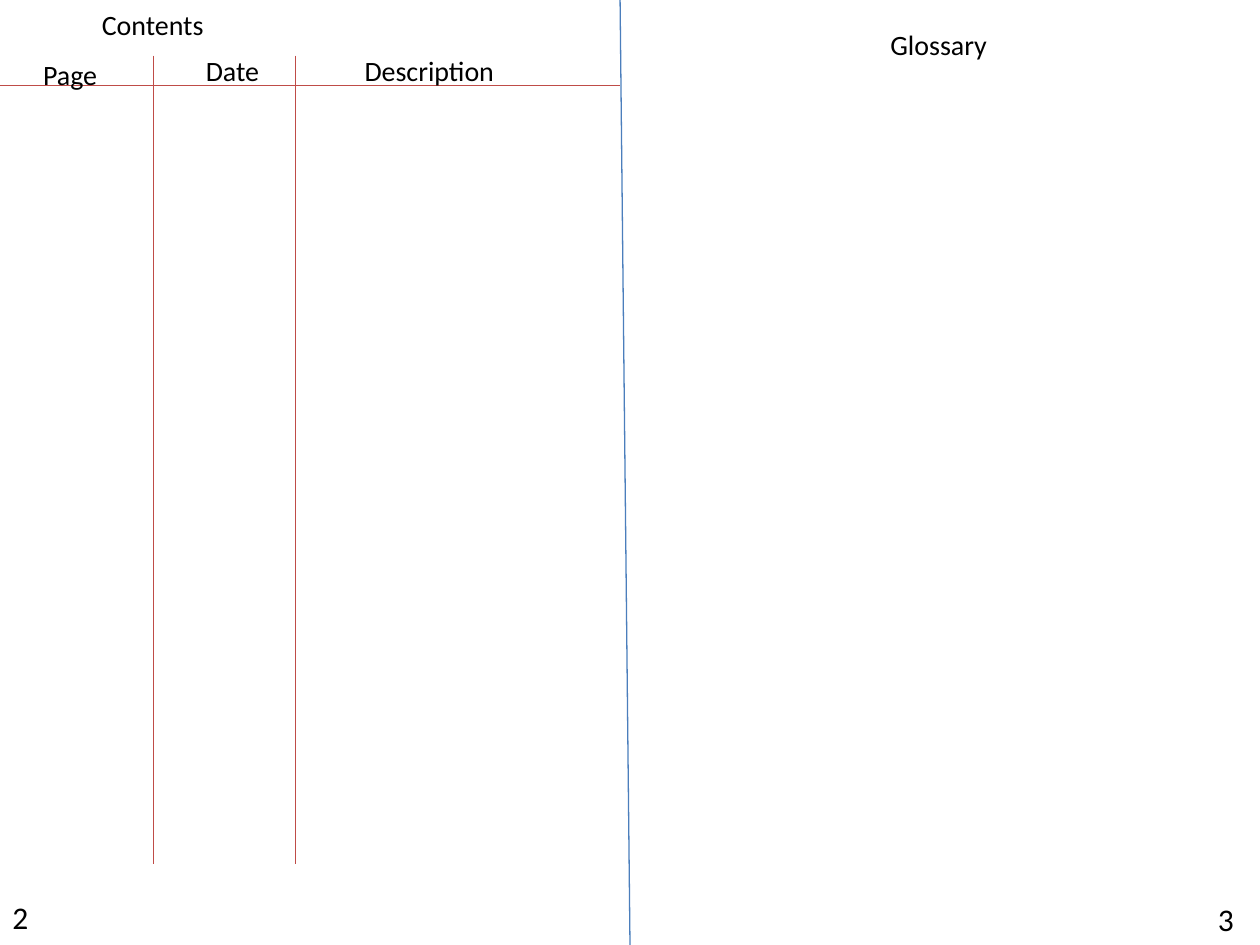
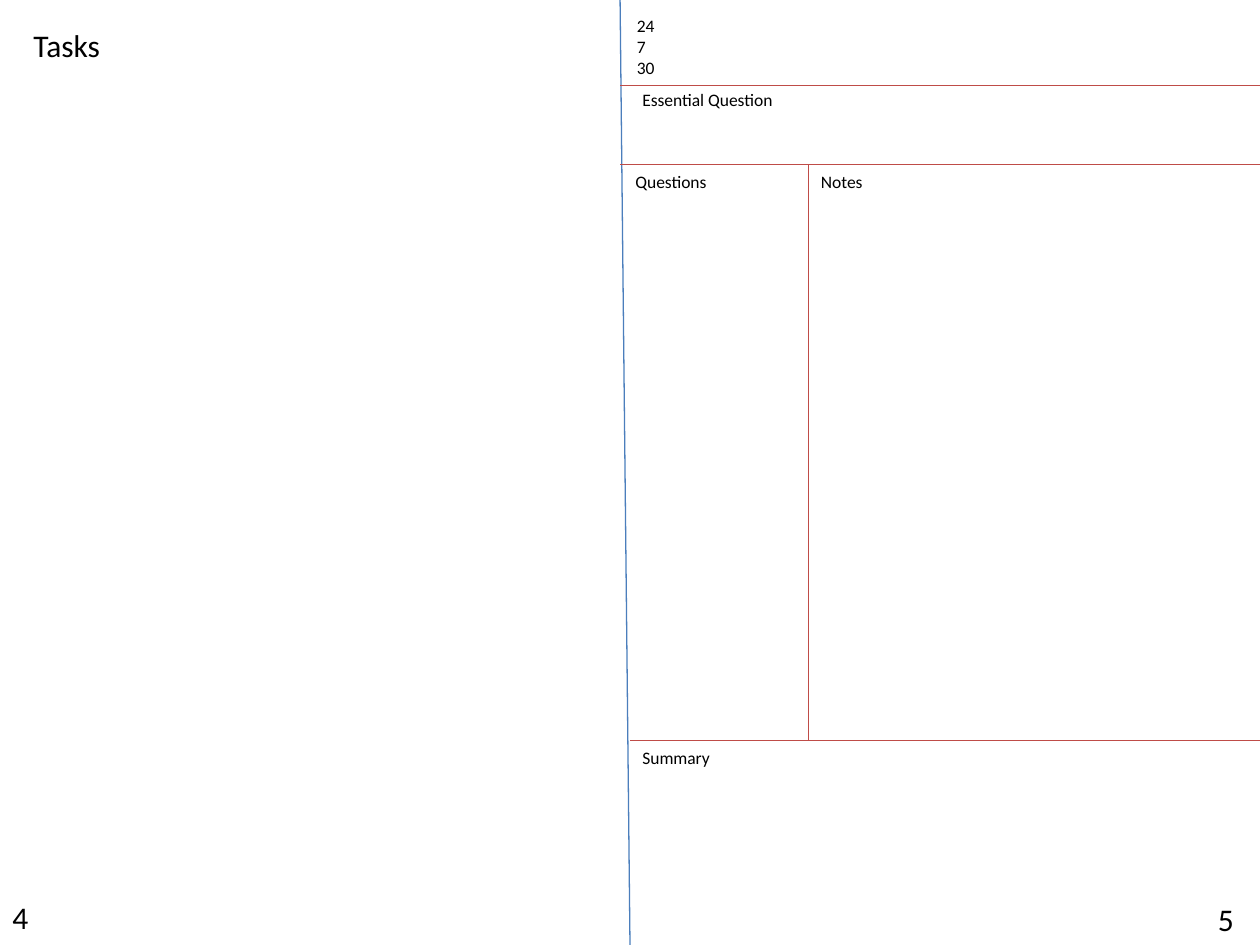
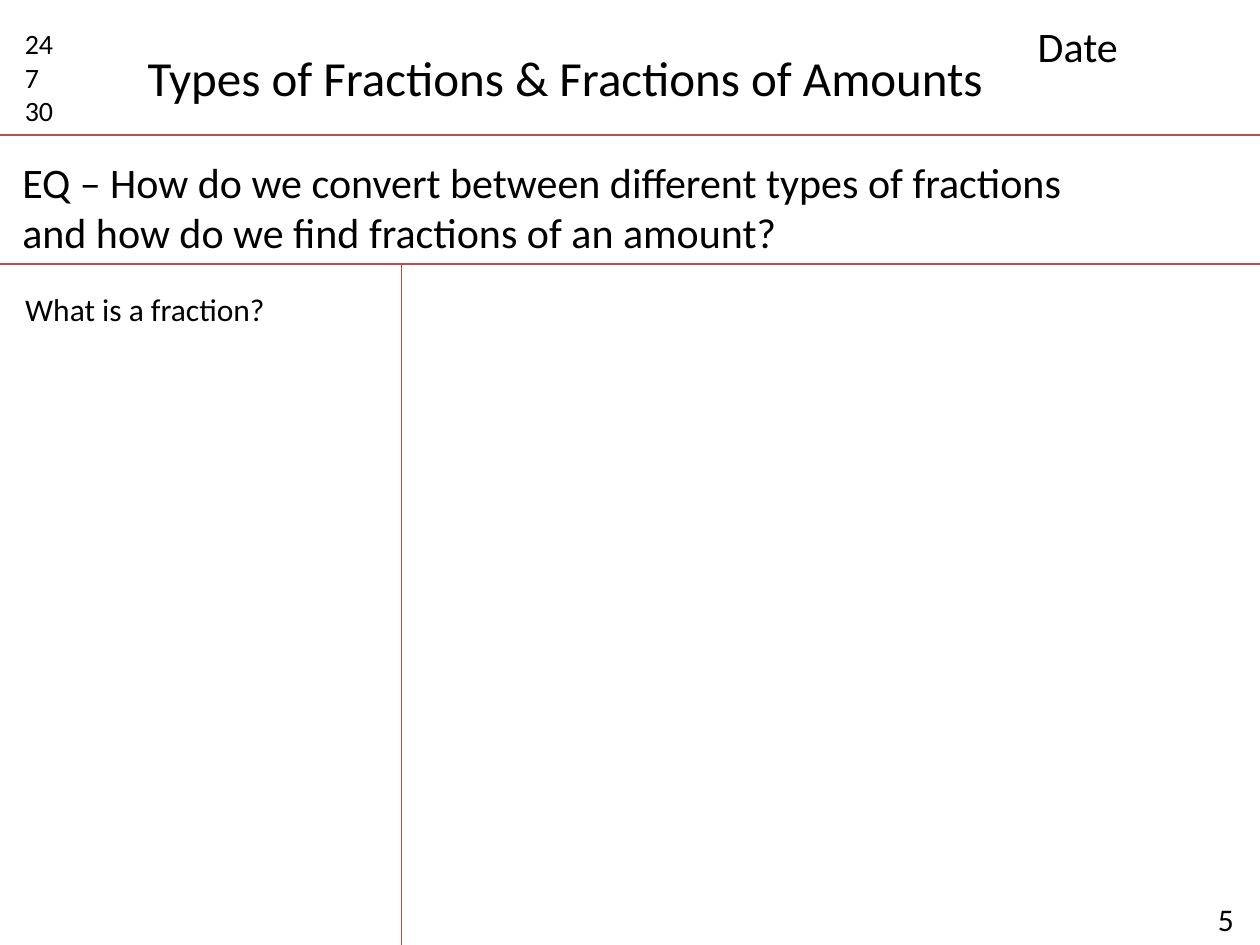
from dataclasses import dataclass

from lxml import etree
from pptx import Presentation
from pptx.dml.color import RGBColor
from pptx.enum.shapes import MSO_CONNECTOR
from pptx.enum.text import MSO_ANCHOR, MSO_AUTO_SIZE, PP_ALIGN
from pptx.oxml.ns import qn
from pptx.util import Cm, Pt


@dataclass(frozen=True)
class Theme:
    font: str = "Calibri"
    text: RGBColor = RGBColor(0x00, 0x00, 0x00)
    fold: RGBColor = RGBColor(0x4B, 0x7E, 0xBC)
    rule: RGBColor = RGBColor(0xBF, 0x4C, 0x48)
    line_width: float = 0.75
    tiny: int = 10
    small: int = 16
    body: int = 18
    large: int = 24
    heading: int = 28


theme = Theme()
WIDTH, HEIGHT = 25.4, 19.05
TARGETS = "24\n7\n30"

prs = Presentation()
prs.slide_width, prs.slide_height = Cm(WIDTH), Cm(HEIGHT)
title_only = prs.slide_layouts[5]


def put_text(slide, text, box, size, wrap=False, title=False):
    """Place text in the slide's title or in a new text box; box is in cm."""
    place = [Cm(value) for value in box]
    if title:
        shape = slide.shapes.title
        shape.left, shape.top, shape.width, shape.height = place
    else:
        shape = slide.shapes.add_textbox(*place)
    frame = shape.text_frame
    frame.text = text
    frame.word_wrap = wrap
    frame.auto_size = MSO_AUTO_SIZE.SHAPE_TO_FIT_TEXT
    frame.vertical_anchor = MSO_ANCHOR.TOP
    for paragraph in frame.paragraphs:
        paragraph.alignment = PP_ALIGN.LEFT
        for run in paragraph.runs:
            run.font.name = theme.font
            run.font.size = Pt(size)
            run.font.color.rgb = theme.text


def draw_line(slide, x1, y1, x2, y2, color=theme.rule):
    line = slide.shapes.add_connector(
        MSO_CONNECTOR.STRAIGHT, Cm(x1), Cm(y1), Cm(x2), Cm(y2))
    line.line.color.rgb = color
    line.line.width = Pt(theme.line_width)
    etree.SubElement(line._element.spPr, qn("a:effectLst"))


# Shared parts: title, fold between facing pages, page numbers
pages = [
    ("Contents", (1.8, 0.02, 2.8, 0.94), theme.small, "2", "3"),
    ("Tasks", (0.42, 0.4, 2.2, 1.02), theme.body, "4", "5"),
    ("Types of Fractions & Fractions of Amounts",
     (2.72, 0.84, 17.8, 1.45), theme.heading, None, "5"),
]
slides = []
for title, box, size, left_page, right_page in pages:
    slide = prs.slides.add_slide(title_only)
    put_text(slide, title, box, size, wrap=True, title=True)
    if left_page:
        draw_line(slide, 12.5, 0, 12.7, HEIGHT, theme.fold)
        put_text(slide, left_page, (0, 17.98, 0.84, 1.02), theme.body)
    put_text(slide, right_page, (24.3, 18.02, 1.1, 1.02), theme.body, wrap=True)
    slides.append(slide)
contents, tasks, fractions = slides

# Contents and glossary: column rules and headings
draw_line(contents, 0, 1.73, 12.5, 1.73)
for x in (3.1, 5.95):
    draw_line(contents, x, 1.12, x, 17.42)
for text, left, top, width in [
    ("Page", 0.62, 1.04, 1.63),
    ("Date", 3.9, 0.95, 1.6),
    ("Description", 7.1, 0.95, 3.89),
    ("Glossary", 17.7, 0.43, 2.49),
]:
    put_text(contents, text, (left, top, width, 0.94), theme.small)

# Tasks: note-taking frame on the right-hand page
for left, y in [(12.5, 1.73), (12.5, 3.32), (12.7, 14.93)]:
    draw_line(tasks, left, y, WIDTH, y)
draw_line(tasks, 16.3, 3.32, 16.3, 14.93)
put_text(tasks, TARGETS, (12.59, 0.18, 1.19, 1.55), theme.tiny, wrap=True)
for text, left, top, width in [
    ("Essential Question", 12.7, 1.67, 3.18),
    ("Questions", 12.56, 3.32, 1.98),
    ("Notes", 16.3, 3.32, 1.37),
    ("Summary", 12.7, 14.93, 1.88),
]:
    put_text(tasks, text, (left, top, width, 0.69), theme.tiny)

# Fractions: rules, header, essential question and first question
for y in (2.72, 5.32):
    draw_line(fractions, 0, y, WIDTH, y)
draw_line(fractions, 8.1, 5.32, 8.1, HEIGHT)
for text, box, size in [
    (TARGETS, (0.25, 0.41, 1.6, 2.31), theme.small),
    ("Date", (20.67, 0.29, 4.39, 1.27), theme.large),
    ("EQ – How do we convert between different types of fractions "
     "and how do we find fractions of an amount?",
     (0.2, 3.03, 22.3, 3.33), theme.large),
    ("What is a fraction?", (0.26, 5.72, 7.65, 1.02), theme.body),
]:
    put_text(fractions, text, box, size, wrap=True)

prs.save("out.pptx")
